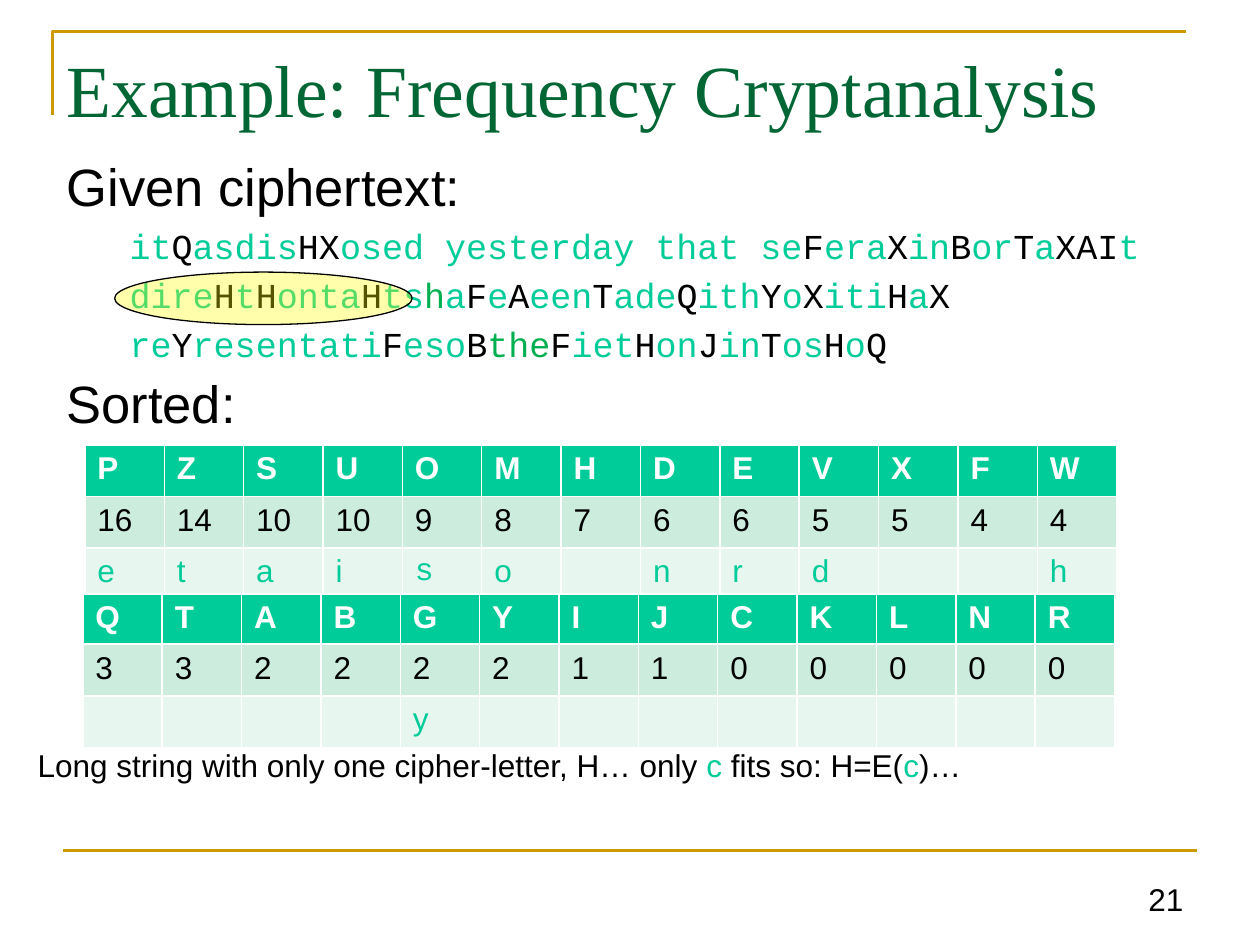
"""Build the slide on frequency cryptanalysis of a substitution cipher."""
from itertools import groupby

from lxml import etree
from pptx import Presentation
from pptx.dml.color import RGBColor
from pptx.enum.shapes import MSO_CONNECTOR, MSO_SHAPE
from pptx.enum.text import MSO_ANCHOR, MSO_AUTO_SIZE, PP_ALIGN
from pptx.oxml.ns import qn
from pptx.util import Pt

LEFT, RIGHT = PP_ALIGN.LEFT, PP_ALIGN.RIGHT
TOP, BOTTOM = MSO_ANCHOR.TOP, MSO_ANCHOR.BOTTOM
NO_AUTOFIT = MSO_AUTO_SIZE.NONE
STRAIGHT, OVAL = MSO_CONNECTOR.STRAIGHT, MSO_SHAPE.OVAL

BLACK = RGBColor(0x00, 0x00, 0x00)
WHITE = RGBColor(0xFF, 0xFF, 0xFF)
TEAL = RGBColor(0x00, 0xCC, 0x99)
GREEN = RGBColor(0x00, 0xB0, 0x50)
DARK_GREEN = RGBColor(0x00, 0x66, 0x33)
GOLD = RGBColor(0xCC, 0x99, 0x00)
YELLOW = RGBColor(0xFF, 0xFF, 0x00)
MINT = RGBColor(0xCC, 0xEC, 0xDE)
PALE_MINT = RGBColor(0xE7, 0xF6, 0xEF)

CIPHERTEXT = [
    "itQasdisHXosed yesterday that seFeraXinBorTaXAIt",
    "direHtHontaHts[h]aFeAeenTadeQithYoXitiHaX",
    "reYresentatiFesoB[the]FietHonJinTosHoQ",
]
TABLES = [
    (48.5, 254.2, [29.5, 29.5, 29.5], [
        "P Z S U O M H D E V X F W".split(),
        "16 14 10 10 9 8 7 6 6 5 5 4 4".split(),
        ["e", "t", "a", "i", "s", "o", "", "n", "r", "d", "", "", "h"],
    ]),
    (47.3, 339.3, [26.5, 29.5, 29.5], [
        "Q T A B G Y I J C K L N R".split(),
        "3 3 2 2 2 2 1 1 0 0 0 0 0".split(),
        ["", "", "", "", "y", "", "", "", "", "", "", "", ""],
    ]),
]
ROW_STYLES = [(TEAL, WHITE, True), (MINT, BLACK, False), (PALE_MINT, TEAL, False)]
NOTE = [
    ("Long string with only one cipher-letter, H… only ", BLACK),
    ("c", TEAL),
    (" fits so: H=E(", BLACK),
    ("c", TEAL),
    (")…", BLACK),
]


def add_run(p, text, size=18, color=BLACK, font="Arial", bold=False):
    r = p.add_run()
    r.text = text
    r.font.size = Pt(size)
    r.font.name = font
    r.font.bold = bold
    r.font.color.rgb = color


prs = Presentation()
prs.slide_width, prs.slide_height = Pt(720), Pt(540)
s = prs.slides.add_slide(prs.slide_layouts[5])

builder = s.shapes.build_freeform(Pt(30), Pt(66))
builder.add_line_segments([(Pt(30), Pt(18)), (Pt(678), Pt(18))], close=False)
corner = builder.convert_to_shape()
corner.shadow.inherit = False
corner.fill.background()

rule = s.shapes.add_connector(STRAIGHT, Pt(36), Pt(486), Pt(684), Pt(486))
etree.SubElement(rule._element.spPr, qn("a:effectLst"))
for sp in (corner, rule):
    sp.line.color.rgb = GOLD
    sp.line.width = Pt(1.5)

title = s.shapes.title
title.left, title.top, title.width, title.height = Pt(31), Pt(21.6), Pt(653), Pt(108)
tf = title.text_frame
tf.auto_size = NO_AUTOFIT
tf.vertical_anchor = TOP
p = tf.paragraphs[0]
p.alignment = LEFT
add_run(p, "Example: Frequency Cryptanalysis", size=42, color=DARK_GREEN,
        font="Times New Roman")

tf = s.shapes.add_textbox(Pt(31), Pt(88.5), Pt(678), Pt(165.6)).text_frame
tf.word_wrap = True
p = tf.paragraphs[0]
add_run(p, "Given ciphertext:", size=30)
for line in CIPHERTEXT:
    p = tf.add_paragraph()
    p._p.get_or_add_pPr().set("marL", str(Pt(36)))
    for i, part in enumerate(line.replace("]", "[").split("[")):
        if i % 2:
            add_run(p, part, size=20, color=GREEN, font="Courier New")
            continue
        for is_cipher, letters in groupby(part, str.isupper):
            add_run(p, "".join(letters), size=20, font="Courier New",
                    color=BLACK if is_cipher else TEAL)
p = tf.add_paragraph()
add_run(p, "Sorted:", size=30)
for i, p in enumerate(tf.paragraphs):
    p.line_spacing = 0.9
    p.space_before = Pt(6.5 if 0 < i <= len(CIPHERTEXT) else 7.5)

for left, top, heights, rows in TABLES:
    table = s.shapes.add_table(len(rows), len(rows[0]), Pt(left), Pt(top),
                               Pt(589.7), Pt(sum(heights))).table
    for col in table.columns:
        col.width = Pt(45.36)
    for i, (height, row, style) in enumerate(zip(heights, rows, ROW_STYLES)):
        fill, color, bold = style
        table.rows[i].height = Pt(height)
        for j, text in enumerate(row):
            cell = table.cell(i, j)
            cell.fill.solid()
            cell.fill.fore_color.rgb = fill
            if text:
                add_run(cell.text_frame.paragraphs[0], text, color=color, bold=bold,
                        font="Courier New" if text == "s" else "Arial")

tf = s.shapes.add_textbox(Pt(14.4), Pt(422.6), Pt(558), Pt(29)).text_frame
tf.word_wrap = False
for text, color in NOTE:
    add_run(tf.paragraphs[0], text, color=color)

highlight = s.shapes.add_shape(OVAL, Pt(65.5), Pt(155.5), Pt(170), Pt(30))
highlight.shadow.inherit = False
highlight.fill.solid()
highlight.fill.fore_color.rgb = YELLOW
srgb = highlight._element.spPr.find(qn("a:solidFill")).find(qn("a:srgbClr"))
etree.SubElement(srgb, qn("a:alpha"), val="33000")
highlight.line.color.rgb = BLACK
highlight.line.width = Pt(0.75)

tf = s.shapes.add_textbox(Pt(645), Pt(492.5), Pt(38.3), Pt(35.3)).text_frame
tf.word_wrap = True
tf.vertical_anchor = BOTTOM
p = tf.paragraphs[0]
p.alignment = RIGHT
add_run(p, "21")

prs.save("out.pptx")
